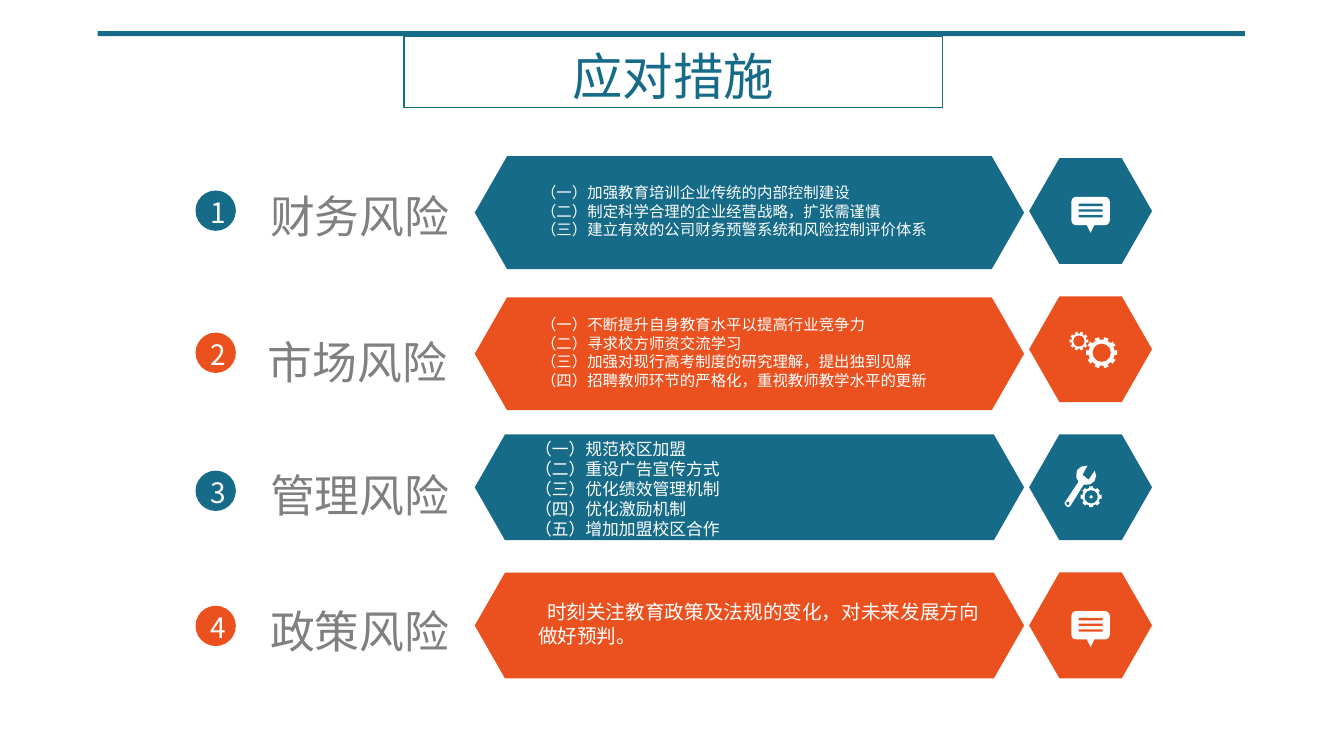
from dataclasses import dataclass
from math import cos, pi, sin

from lxml import etree
from pptx import Presentation
from pptx import util as u
from pptx.dml import color as c
from pptx.enum import shapes, text
from pptx.oxml import ns


@dataclass(frozen=True)
class Theme:
    teal: str = "166B88"
    orange: str = "EB511F"
    gray: str = "808080"
    white: str = "FFFFFF"
    icon: str = "FEFEFE"
    title_font: str = "Noto Sans CJK JP"
    body_font: str = "Noto Sans CJK SC"
    title_size: int = 36
    label_size: int = 32
    number_size: int = 20


theme = Theme()
preset = shapes.MSO_SHAPE
presentation = Presentation()
presentation.slide_width = u.Pt(960)
presentation.slide_height = u.Pt(540)
slide = presentation.slides.add_slide(presentation.slide_layouts[5])


def write(shape, content, *, size, color, font=theme.body_font, align=text.PP_ALIGN.LEFT,
          anchor=text.MSO_ANCHOR.TOP, left=7.2, right=7.2, top=3.6, bottom=3.6, indent=0):
    frame = shape.text_frame
    frame.word_wrap = True
    frame.vertical_anchor = anchor
    frame.margin_left, frame.margin_right = u.Pt(left), u.Pt(right)
    frame.margin_top, frame.margin_bottom = u.Pt(top), u.Pt(bottom)
    frame.text = content
    for paragraph in frame.paragraphs:
        paragraph.alignment = align
        paragraph.line_spacing = u.Pt(size * 1.2)
        paragraph._p.get_or_add_pPr().set("indent", str(u.Pt(indent)))
        for run in paragraph.runs:
            run.font.size = u.Pt(size)
            run.font.name = font
            run.font.color.rgb = c.RGBColor.from_string(color)
            properties = run._r.get_or_add_rPr()
            etree.SubElement(properties, ns.qn("a:ea")).set("typeface", font)


def draw(kind, left, top, width, height, color):
    shape = slide.shapes.add_shape(kind, u.Pt(left), u.Pt(top), u.Pt(width), u.Pt(height))
    shape.shadow.inherit = False
    shape.fill.solid()
    shape.fill.fore_color.rgb = c.RGBColor.from_string(color)
    shape.line.fill.background()
    return shape


draw(preset.RECTANGLE, 69.8, 22.3, 819.4, 3.6, theme.teal)
title = slide.shapes.title
title.left, title.top, title.width, title.height = u.Pt(288.7), u.Pt(25.9), u.Pt(384.5), u.Pt(51.1)
title.line.color.rgb = c.RGBColor.from_string(theme.teal)
title.line.width = u.Pt(1)
write(title, "应对措施", size=theme.title_size, color=theme.teal, font=theme.title_font,
      align=text.PP_ALIGN.CENTER, anchor=text.MSO_ANCHOR.MIDDLE, top=8.6)

risks = [
    dict(label="财务风险", label_at=(185.8, 128.2), circle_top=136.1, arrow=(111.6, 80.6),
         body_at=(379.4, 126.7, 349.2), size=11, icon="speech",
         body="（一）加强教育培训企业传统的内部控制建设\n"
              "（二）制定科学合理的企业经营战略，扩张需谨慎\n"
              "（三）建立有效的公司财务预警系统和风险控制评价体系"),
    dict(label="市场风险", label_at=(184.3, 232.6), circle_top=237.6, arrow=(212.4, 80.6),
         body_at=(379.4, 221, 326.9), size=11, icon="gears",
         body="（一）不断提升自身教育水平以提高行业竞争力\n"
              "（二）寻求校方师资交流学习\n"
              "（三）加强对现行高考制度的研究理解，提出独到见解\n"
              "（四）招聘教师环节的严格化，重视教师教学水平的更新"),
    dict(label="管理风险", label_at=(185.8, 327.6), circle_top=336.2, arrow=(310.3, 75.6),
         body_at=(375.1, 308.9, 323.3), size=12, icon="tools",
         body="（一）规范校区加盟\n（二）重设广告宣传方式\n（三）优化绩效管理机制\n"
              "（四）优化激励机制\n（五）增加加盟校区合作"),
    dict(label="政策风险", label_at=(185.8, 424.1), circle_top=432.7, arrow=(409, 75.6),
         body_at=(377.3, 424.1, 331.9), size=14, icon="speech", indent=6.4,
         body="时刻关注教育政策及法规的变化，对未来发展方向做好预判。"),
]
gears = {
    "speech": [],
    "gears": [(7.9, 2.5, 10, 11.2, 9.4, 6.5), (-8.3, -5.8, 10, 6.8, 5.4, 4)],
    "tools": [(0.4, 6.8, 8, 7.6, 6.4, 4.7)],
}
wrench = [(-18.7, 11.2), (-8.6, -4), (-10.1, -6.8), (-10.1, -9.7), (-9.4, -12.6), (-6.5, -14.8),
          (-2.2, -15.5), (-5.8, -9), (-1.4, -5.4), (2.9, -11.9), (4, -8.3), (2.9, -4.7),
          (0, -2.2), (-5, -1.8), (-14.4, 13.3), (-15.5, 14), (-16.6, 14), (-18, 12.6)]
center_x = 779

for index, risk in enumerate(risks):
    color = (theme.teal, theme.orange)[index % 2]
    hexagon_top = 113 + 98.64 * index
    center_y = hexagon_top + 37.8
    arrow_top, arrow_height = risk["arrow"]
    for hexagon in (draw(preset.HEXAGON, 339.1, arrow_top, 392.4, arrow_height, color),
                    draw(preset.HEXAGON, 735.1, hexagon_top, 87.8, 75.6, color)):
        hexagon.adjustments[0] = 0.286

    circle = draw(preset.OVAL, 139.7, risk["circle_top"], 28.8, 28.8, color)
    write(circle, str(index + 1), size=theme.number_size, color=theme.white,
          align=text.PP_ALIGN.CENTER, anchor=text.MSO_ANCHOR.MIDDLE,
          left=3.6, right=0, top=2, bottom=0)
    left, top = risk["label_at"]
    label = slide.shapes.add_textbox(u.Pt(left), u.Pt(top), u.Pt(152.6), u.Pt(46.1))
    write(label, risk["label"], size=theme.label_size, color=theme.gray, top=6.8)
    left, top, width = risk["body_at"]
    lines = max(2, risk["body"].count("\n") + 1)
    height = lines * risk["size"] * 1.2 + 7.2
    body = slide.shapes.add_textbox(u.Pt(left), u.Pt(top), u.Pt(width), u.Pt(height))
    write(body, risk["body"], size=risk["size"], color=theme.white, top=4.4,
          indent=risk.get("indent", 0))

    if risk["icon"] == "speech":
        pointer = draw(preset.ISOSCELES_TRIANGLE, center_x - 3.6, center_y + 8.3, 7.2, 7.2, theme.icon)
        pointer.rotation = 180
        draw(preset.ROUNDED_RECTANGLE, center_x - 13.7, center_y - 10.2, 27.4, 20.2, theme.icon)
        for line in range(3):
            draw(preset.RECTANGLE, center_x - 8.6, center_y - 5.3 + 4.05 * line, 17.3, 1.7, color)

    outlines = [wrench] if risk["icon"] == "tools" else []
    for x, y, teeth, outer, root, hole in gears[risk["icon"]]:
        pitch = 2 * pi / teeth
        outlines.append([(x + radius * cos(pitch * (tooth + turn)), y + radius * sin(pitch * (tooth + turn)))
                         for tooth in range(teeth)
                         for radius, turn in ((root, -0.25), (outer, -0.25), (outer, 0.25), (root, 0.25))])
    for outline in outlines:
        points = [(u.Pt(center_x + x), u.Pt(center_y + y)) for x, y in outline]
        builder = slide.shapes.build_freeform(*points[0])
        builder.add_line_segments(points[1:], close=True)
        part = builder.convert_to_shape()
        part.shadow.inherit = False
        part.fill.solid()
        part.fill.fore_color.rgb = c.RGBColor.from_string(theme.icon)
        part.line.fill.background()

    dots = [(x, y, hole, color) for x, y, *_, hole in gears[risk["icon"]]]
    if risk["icon"] == "tools":
        dots += [(0.4, 6.8, 1.1, theme.icon), (-16.2, 11.5, 1.1, color)]
    for x, y, radius, dot_color in dots:
        draw(preset.OVAL, center_x + x - radius, center_y + y - radius, 2 * radius, 2 * radius, dot_color)

presentation.save("out.pptx")
